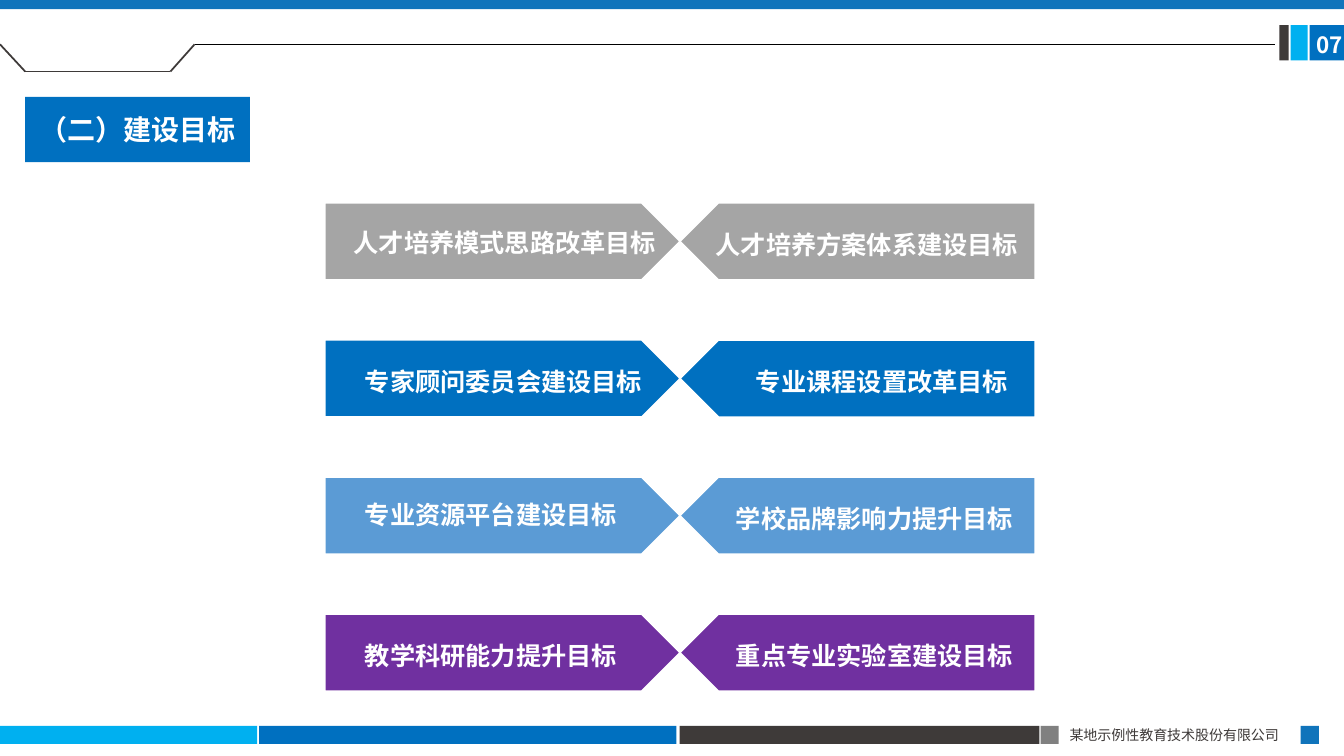
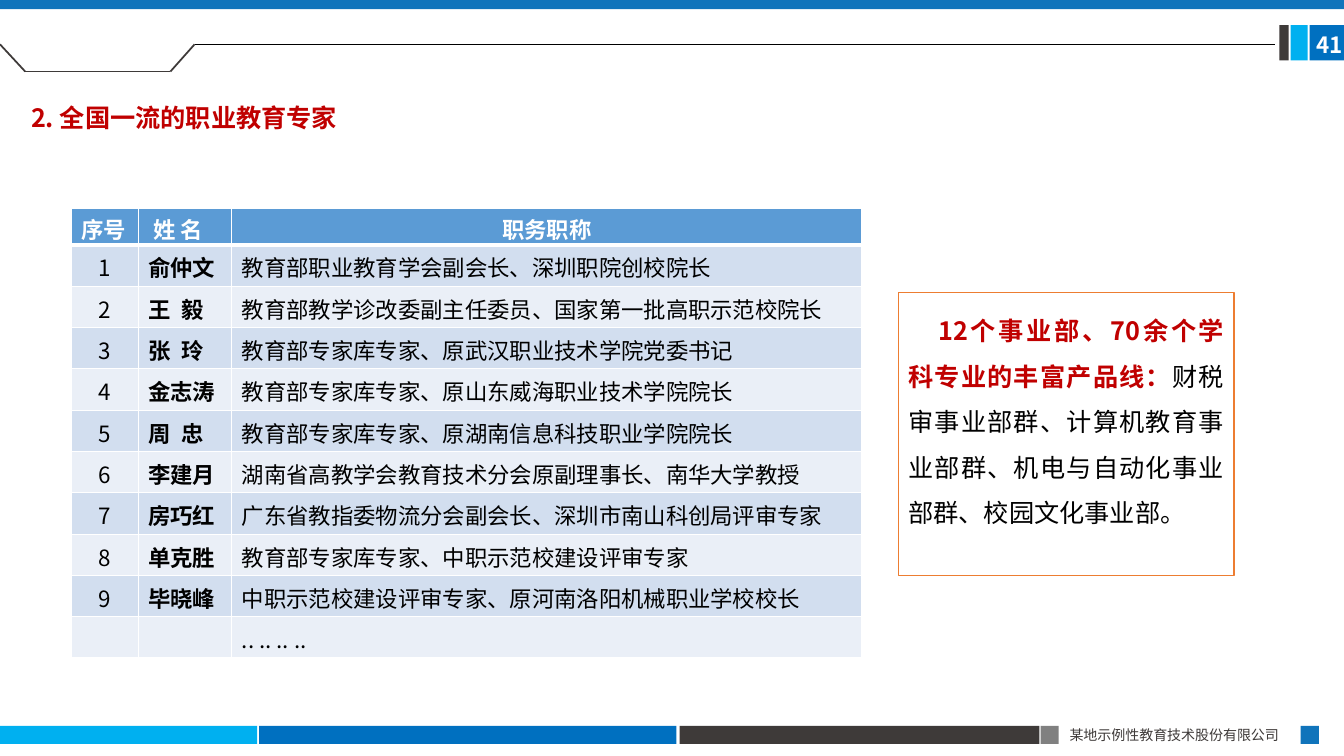
from dataclasses import dataclass
from itertools import pairwise

from lxml import etree
from pptx import Presentation
from pptx.dml.color import RGBColor
from pptx.enum.shapes import MSO_CONNECTOR, MSO_SHAPE
from pptx.enum.text import MSO_ANCHOR, PP_ALIGN
from pptx.oxml.ns import qn
from pptx.util import Inches, Pt

RECT, PENTAGON = MSO_SHAPE.RECTANGLE, MSO_SHAPE.PENTAGON
STRAIGHT = MSO_CONNECTOR.STRAIGHT
LEFT, CENTER, JUSTIFY = PP_ALIGN.LEFT, PP_ALIGN.CENTER, PP_ALIGN.JUSTIFY
TOP, MIDDLE = MSO_ANCHOR.TOP, MSO_ANCHOR.MIDDLE


@dataclass(frozen=True)
class Theme:
    font: str = "Noto Sans CJK SC"
    latin: str = "Calibri"
    white: str = "FFFFFF"
    black: str = "000000"
    blue: str = "0070C0"
    band: str = "1074BB"
    cyan: str = "00B0F0"
    dark: str = "3E3A39"
    gray: str = "808080"
    silver: str = "A5A5A5"
    sky: str = "5B9BD5"
    purple: str = "7030A0"
    red: str = "C00000"
    orange: str = "ED7D31"
    row_odd: str = "D2DEEF"
    row_even: str = "EAEFF7"
    title: int = 20
    body: int = 18
    cell: int = 16
    footer: int = 10


T = Theme()

GOAL_TOP, GOAL_PITCH = 2.01, 1.36
# Each row: colour, then left and right labels as (text, left, top, width).
GOALS = [
    (T.silver, ("人才培养模式思路改革目标", 3.41, 2.21, 3.22),
     ("人才培养方案体系建设目标", 7, 2.23, 3.27)),
    (T.blue, ("专家顾问委员会建设目标", 3.52, 3.58, 3.03),
     ("专业课程设置改革目标", 7.4, 3.58, 2.7)),
    (T.sky, ("专业资源平台建设目标", 3.52, 4.9, 2.92),
     ("学校品牌影响力提升目标", 7.2, 4.94, 3.07)),
    (T.purple, ("教学科研能力提升目标", 3.52, 6.3, 2.78),
     ("重点专业实验室建设目标", 7.2, 6.3, 3.07)),
]

EXPERTS = [
    ("俞仲文", "教育部职业教育学会副会长、深圳职院创校院长"),
    ("王 毅", "教育部教学诊改委副主任委员、国家第一批高职示范校院长"),
    ("张 玲", "教育部专家库专家、原武汉职业技术学院党委书记"),
    ("金志涛", "教育部专家库专家、原山东威海职业技术学院院长"),
    ("周 忠", "教育部专家库专家、原湖南信息科技职业学院院长"),
    ("李建月", "湖南省高教学会教育技术分会原副理事长、南华大学教授"),
    ("房巧红", "广东省教指委物流分会副会长、深圳市南山科创局评审专家"),
    ("单克胜", "教育部专家库专家、中职示范校建设评审专家"),
    ("毕晓峰", "中职示范校建设评审专家、原河南洛阳机械职业学校校长"),
]


def rgb(color):
    return RGBColor.from_string(color)


def add_run(p, text, size, color, bold=False, latin=T.font):
    r = p.add_run()
    r.text = text
    r.font.size, r.font.bold, r.font.name = Pt(size), bold, latin
    r.font.color.rgb = rgb(color)
    ea = etree.SubElement(r._r.get_or_add_rPr(), qn("a:ea"))
    ea.set("typeface", T.font)
    return r


def add_box(slide, x, y, w, h, fill=None, line=None, width=0.75, kind=RECT):
    s = slide.shapes.add_shape(kind, Inches(x), Inches(y), Inches(w), Inches(h))
    s.shadow.inherit = False
    if fill:
        s.fill.solid()
        s.fill.fore_color.rgb = rgb(fill)
    else:
        s.fill.background()
    if line:
        s.line.color.rgb = rgb(line)
        s.line.width = Pt(width)
    else:
        s.line.fill.background()
    return s


def add_label(slide, text, x, y, w, h=0.4, size=T.body, color=T.white, bold=True):
    s = slide.shapes.add_textbox(Inches(x), Inches(y), Inches(w), Inches(h))
    tf = s.text_frame
    tf.word_wrap = False
    tf.vertical_anchor = MIDDLE
    add_run(tf.paragraphs[0], text, size, color, bold)
    return s


def add_line(slide, start, end, color, width):
    s = slide.shapes.add_connector(STRAIGHT, *map(Inches, start + end))
    s.line.color.rgb = rgb(color)
    s.line.width = Pt(width)
    etree.SubElement(s._element.spPr, qn("a:effectLst"))


def add_frame(slide, number):
    """Add the bands, header outline, page number and footer."""
    add_box(slide, 0, 0, 13.33, 0.09, T.band)
    for x, w, color in ((0, 2.55, T.cyan), (2.57, 4.14, T.blue), (6.74, 3.57, T.dark),
                        (10.32, 0.18, T.gray), (12.9, 0.18, T.band)):
        add_box(slide, x, 7.2, w, 0.18, color)
    for x, w, color in ((12.69, 0.09, T.dark), (12.8, 0.17, T.cyan), (12.99, 0.34, T.blue)):
        add_box(slide, x, 0.25, w, 0.35, color)
    for start, end in pairwise([(0, 0.44), (0.25, 0.71), (1.69, 0.71), (1.93, 0.44)]):
        add_line(slide, start, end, T.dark, 1.25)
    add_line(slide, (1.93, 0.44), (12.65, 0.44), T.black, 0.5)
    page = add_label(slide, number, 12.96, 0.26, 0.37, 0.37, T.cell)
    page.text_frame.margin_right = 0
    add_label(slide, "某地示例性教育技术股份有限公司", 10.51, 7.16, 2.4, 0.27,
              T.footer, T.dark, False)


def add_goal_row(slide, row, color, labels):
    for x, turn in ((3.22, 0), (6.74, 180)):
        s = add_box(slide, x, GOAL_TOP + row * GOAL_PITCH, 3.53, 0.77, color,
                    T.white, 1.5, PENTAGON)
        s.rotation = turn
    for label in labels:
        add_label(slide, *label)


def set_borders(cell, bottom):
    """Give the cell white borders, with its own width at the bottom."""
    tcPr = cell._tc.get_or_add_tcPr()
    for i, (side, width) in enumerate((("L", 1), ("R", 1), ("T", 1), ("B", bottom))):
        ln = etree.Element(qn(f"a:ln{side}"), w=str(Pt(width)))
        fill = etree.SubElement(ln, qn("a:solidFill"))
        etree.SubElement(fill, qn("a:srgbClr"), val=T.white)
        tcPr.insert(i, ln)


def fill_cell(cell, text, fill, color, bold, align, bottom=1):
    cell.margin_top, cell.margin_bottom = Inches(0.03), 0
    cell.vertical_anchor = MIDDLE
    set_borders(cell, bottom)
    cell.fill.solid()
    cell.fill.fore_color.rgb = rgb(fill)
    p = cell.text_frame.paragraphs[0]
    p.alignment = align
    if text:
        return add_run(p, text, T.cell, color, bold)


def add_expert_table(slide):
    rows = [(str(i), *expert) for i, expert in enumerate(EXPERTS, 1)]
    rows.append(("", "", ".. .. .. .."))
    frame = slide.shapes.add_table(len(rows) + 1, 3, Inches(0.71), Inches(2.07),
                                   Inches(7.84), Inches(4.42))
    table = frame.table
    for column, w in zip(table.columns, (0.66, 0.93, 6.25)):
        column.width = Inches(w)
    for i, row in enumerate(table.rows):
        row.height = Inches(0.41 if i else 0.36)
    for j, (text, align) in enumerate((("序号", LEFT), ("姓 名", LEFT), ("职务职称", CENTER))):
        fill_cell(table.cell(0, j), text, T.sky, T.white, True, align, 3)
    table.cell(0, 1).margin_left = Inches(0.15)
    for i, values in enumerate(rows, 1):
        fill = T.row_odd if i % 2 else T.row_even
        for j, text in enumerate(values):
            r = fill_cell(table.cell(i, j), text, fill, T.black, j == 1, LEFT if j else CENTER)
            if j == 1 and " " in text:
                r._r.get_or_add_rPr().set("spc", "200")


def add_product_box(slide):
    s = add_box(slide, 8.91, 2.9, 3.33, 2.81, line=T.orange)
    tf = s.text_frame
    tf.word_wrap = True
    tf.vertical_anchor = TOP
    tf.margin_top = Inches(0.08)
    p = tf.paragraphs[0]
    p.alignment = JUSTIFY
    p.line_spacing = Pt(32.5)
    p._p.get_or_add_pPr().set("indent", str(Inches(0.3)))
    add_run(p, "12个事业部、70余个学科专业的丰富产品线：", T.body, T.red, True)
    add_run(p, "财税审事业部群、计算机教育事业部群、机电与自动化事业部群、校园文化事业部。",
            T.body, T.black)


def build_goals(slide):
    add_frame(slide, "07")
    tf = add_box(slide, 0.25, 0.96, 2.23, 0.65, T.blue).text_frame
    tf.vertical_anchor = MIDDLE
    tf.paragraphs[0].alignment = CENTER
    add_run(tf.paragraphs[0], "（二）建设目标", T.title, T.white, True, T.latin)
    for row, (color, *labels) in enumerate(GOALS):
        add_goal_row(slide, row, color, labels)


def build_experts(slide):
    add_frame(slide, "41")
    add_label(slide, "2. 全国一流的职业教育专家", 0.21, 0.97, 3.38, color=T.red)
    add_expert_table(slide)
    add_product_box(slide)


def main():
    prs = Presentation()
    prs.slide_width, prs.slide_height = Inches(13.33), Inches(7.5)
    for build in (build_goals, build_experts):
        build(prs.slides.add_slide(prs.slide_layouts[6]))
    prs.save("out.pptx")


if __name__ == "__main__":
    main()
